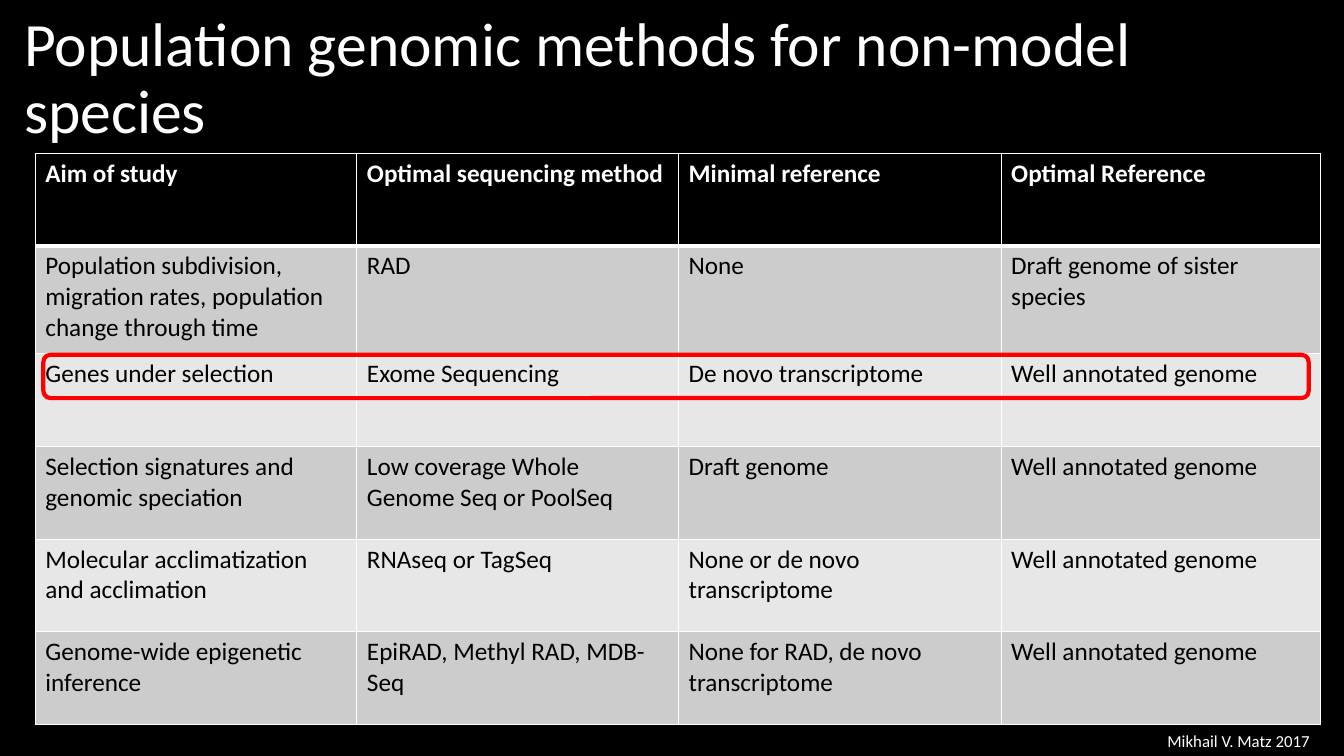
from lxml import etree
from pptx import Presentation
from pptx.dml.color import RGBColor
from pptx.enum.shapes import MSO_SHAPE as Shape
from pptx.enum.text import MSO_ANCHOR as Anchor, PP_ALIGN as Align
from pptx.oxml.ns import qn
from pptx.util import Inches, Pt

TITLE = "Population genomic methods for non-model species"
CREDIT = "Mikhail V. Matz 2017"
METHODS = [
    ("Aim of study", "Optimal sequencing method", "Minimal reference", "Optimal Reference"),
    ("Population subdivision, migration rates, population change through time",
     "RAD", "None", "Draft genome of sister species"),
    ("Genes under selection", "Exome Sequencing", "De novo transcriptome",
     "Well annotated genome"),
    ("Selection signatures and genomic speciation",
     "Low coverage Whole Genome Seq or PoolSeq", "Draft genome", "Well annotated genome"),
    ("Molecular acclimatization and acclimation", "RNAseq or TagSeq",
     "None or de novo transcriptome", "Well annotated genome"),
    ("Genome-wide epigenetic inference", "EpiRAD, Methyl RAD, MDB-Seq",
     "None for RAD, de novo transcriptome", "Well annotated genome"),
]
WIDTHS = [3.19, 3.19, 3.2, 3.17]
HEIGHTS = [0.92, 1.07, 0.92, 0.92, 0.92, 0.92]
COLORS = {"black": "000000", "white": "FFFFFF", "dark": "CCCCCC",
          "light": "E7E7E7", "red": "FF0000"}
FONT = "Calibri"


def color(name):
    return RGBColor.from_string(COLORS[name])


def style(para, size, name, bold=False):
    for run in para.runs:
        font = run.font
        font.name, font.size, font.bold = FONT, Pt(size), bold
        font.color.rgb = color(name)


def add_text(slide, box, text, size):
    frame = slide.shapes.add_textbox(*map(Inches, box)).text_frame
    frame.word_wrap = True
    frame.text = text
    style(frame.paragraphs[0], size, "white")
    return frame


def set_border(cell, side, points):
    props = cell._tc.get_or_add_tcPr()
    line = etree.SubElement(props, qn(f"a:ln{side}"), w=str(Pt(points)))
    fill = etree.SubElement(line, qn("a:solidFill"))
    etree.SubElement(fill, qn("a:srgbClr"), val=COLORS["white"])


def fill_cell(cell, text, row):
    head = row == 0
    for side in "LRTB":
        thick = (head and side == "B") or (row == 1 and side == "T")
        set_border(cell, side, 3 if thick else 1)
    cell.fill.solid()
    cell.fill.fore_color.rgb = color("black" if head else "dark" if row % 2 else "light")
    cell.text_frame.text = text
    style(cell.text_frame.paragraphs[0], 18, "white" if head else "black", head)


def add_methods(slide):
    box = map(Inches, (0.35, 1.52, sum(WIDTHS), sum(HEIGHTS)))
    table = slide.shapes.add_table(len(METHODS), len(WIDTHS), *box).table
    for col, width in zip(table.columns, WIDTHS):
        col.width = Inches(width)
    for row, height in zip(table.rows, HEIGHTS):
        row.height = Inches(height)
    for r, texts in enumerate(METHODS):
        for c, text in enumerate(texts):
            fill_cell(table.cell(r, c), text, r)


def add_mark(slide):
    """Outline the row on genes under selection."""
    box = map(Inches, (0.43, 3.52, 12.55, 0.43))
    mark = slide.shapes.add_shape(Shape.ROUNDED_RECTANGLE, *box)
    mark.shadow.inherit = False
    mark.fill.background()
    mark.line.color.rgb = color("red")
    mark.line.width = Pt(3)


def main():
    deck = Presentation()
    deck.slide_width, deck.slide_height = Inches(13.33), Inches(7.5)
    slide = deck.slides.add_slide(deck.slide_layouts[6])
    back = slide.background.fill
    back.solid()
    back.fore_color.rgb = color("black")

    title = add_text(slide, (0.14, 0.07, 13.06, 1.45), TITLE, 44)
    title.vertical_anchor = Anchor.MIDDLE
    title.paragraphs[0].line_spacing = 0.9
    add_methods(slide)
    credit = add_text(slide, (10.84, 7.2, 2.25, 0.3), CREDIT, 12)
    credit.paragraphs[0].alignment = Align.RIGHT
    add_mark(slide)
    deck.save("out.pptx")


if __name__ == "__main__":
    main()
